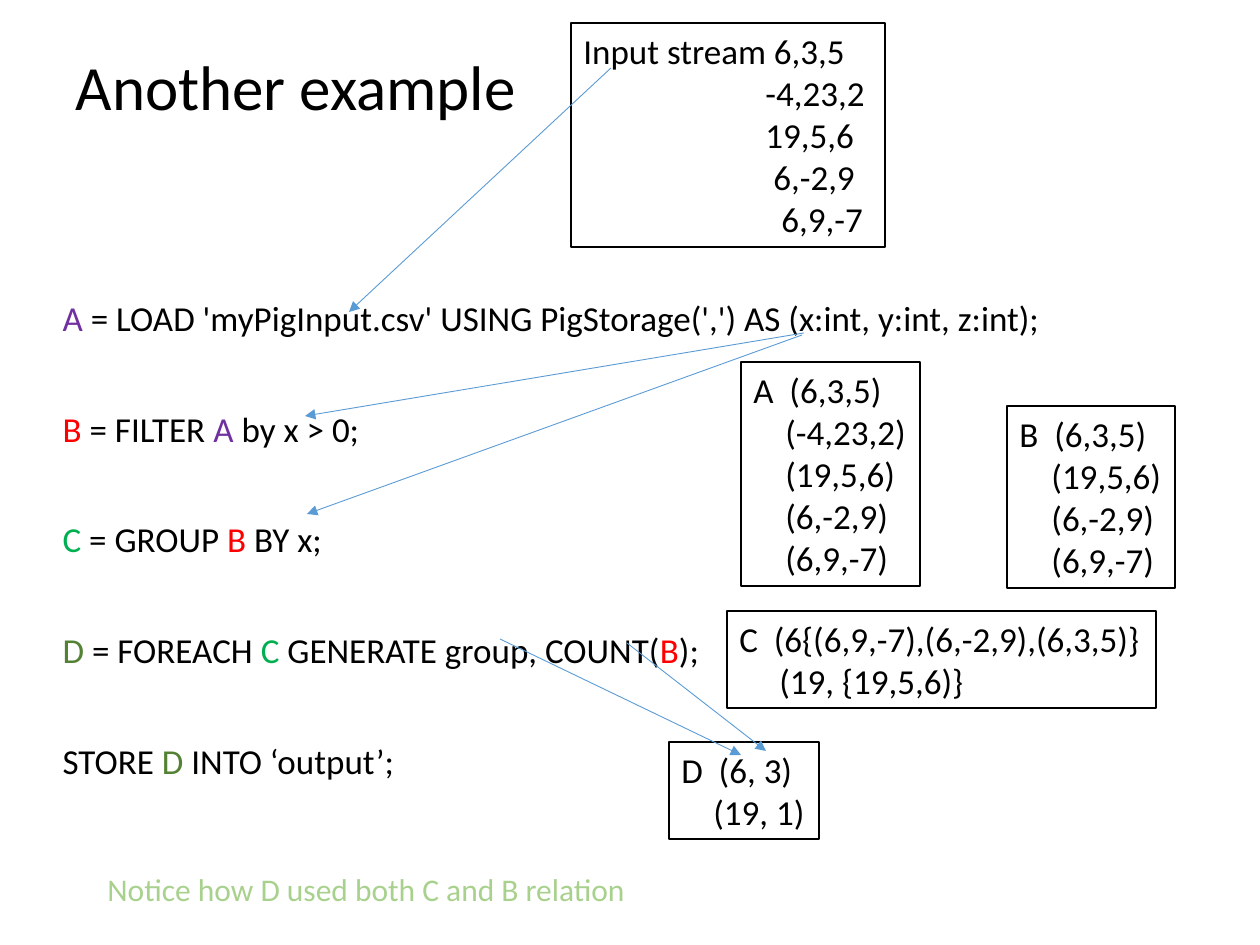
from dataclasses import dataclass, field

from lxml.etree import SubElement
from pptx import Presentation
from pptx.dml.color import RGBColor as Color
from pptx.enum.shapes import MSO_CONNECTOR as Connector
from pptx.enum.text import MSO_ANCHOR as Anchor, MSO_AUTO_SIZE as AutoSize, PP_ALIGN as Align
from pptx.oxml.ns import qn
from pptx.util import Emu, Pt

PIXEL = 914400 / 126


@dataclass
class Theme:
    """Font, colours and type sizes of the slide."""
    font: str = "Calibri"
    ink: str = "000000"
    arrow: str = "5B9BD5"
    note: str = "A9D18E"
    title_size: int = 36
    text_size: int = 20
    note_size: int = 18
    box_line: float = 0.75
    arrow_line: float = 0.5
    relations: dict = field(default_factory=lambda: {
        "A": "7030A0", "B": "FF0000", "C": "00B050", "D": "548235"})


def px(value):
    """Turn pixels into EMU."""
    return Emu(round(value * PIXEL))


def assign(target, **values):
    """Set several attributes of one object."""
    for name, value in values.items():
        setattr(target, name, value)


def place(shape, bounds):
    """Move and size a shape by left, top, width and height in pixels."""
    assign(shape, **dict(zip(("left", "top", "width", "height"), map(px, bounds))))


class Page:
    """Draws elements on one slide in one theme."""

    def __init__(self, deck, theme):
        """Add a title and content slide to the deck."""
        self.theme = theme
        self.slide = deck.slides.add_slide(deck.slide_layouts[1])
        self.shapes = self.slide.shapes

    def span(self, para, text, size, color=None):
        """Append a formatted run to a paragraph."""
        run = para.add_run()
        run.text = text
        assign(run.font, name=self.theme.font, size=Pt(size))
        run.font.color.rgb = Color.from_string(color or self.theme.ink)

    def title(self, text, bounds):
        """Fill the title placeholder."""
        box = self.shapes.title
        place(box, bounds)
        assign(box.text_frame, vertical_anchor=Anchor.MIDDLE, auto_size=AutoSize.NONE)
        para = box.text_frame.paragraphs[0]
        assign(para, alignment=Align.LEFT, line_spacing=0.9)
        self.span(para, text, self.theme.title_size)

    def code(self, statements, bounds, gap):
        """Fill the body with statements; bars part the coloured relation names."""
        box = self.slide.placeholders[1]
        place(box, bounds)
        frame = box.text_frame
        frame.auto_size = AutoSize.NONE
        for index, statement in enumerate(statements):
            para = frame.add_paragraph() if index else frame.paragraphs[0]
            assign(para, line_spacing=0.9, space_before=Pt(gap if index else 10))
            props = para._p.get_or_add_pPr()
            props.set("marL", "0")
            props.set("indent", "0")
            SubElement(props, qn("a:buNone"))
            for part in statement.split("|"):
                self.span(para, part, self.theme.text_size, self.theme.relations.get(part))

    def text(self, lines, bounds, size, color=None):
        """Add a text box from pairs of left indent in pixels and text."""
        box = self.shapes.add_textbox(*map(px, bounds))
        frame = box.text_frame
        assign(frame, word_wrap=True, auto_size=AutoSize.NONE, margin_right=0)
        for index, (indent, line) in enumerate(lines):
            para = frame.add_paragraph() if index else frame.paragraphs[0]
            para._p.get_or_add_pPr().set("marL", str(px(indent)))
            self.span(para, line, size, color)
        return box

    def data_box(self, first, rows, bounds):
        """Add an outlined box with a first line and indented rows."""
        box = self.text([(0, first), *rows], bounds, self.theme.text_size)
        box.line.color.rgb = Color.from_string(self.theme.ink)
        box.line.width = Pt(self.theme.box_line)

    def arrow(self, start, end):
        """Add a straight arrow between two points."""
        line = self.shapes.add_connector(Connector.STRAIGHT, *map(px, (*start, *end)))
        line.line.color.rgb = Color.from_string(self.theme.arrow)
        line.line.width = Pt(self.theme.arrow_line)
        SubElement(line.line._get_or_add_ln(), qn("a:tailEnd"), type="triangle")
        SubElement(line._element.spPr, qn("a:effectLst"))


STATEMENTS = [
    "A| = LOAD 'myPigInput.csv' USING PigStorage(',') AS (x:int, y:int, z:int);",
    "B| = FILTER |A| by x > 0;",
    "C| = GROUP |B| BY x;",
    "D| = FOREACH |C| GENERATE group, COUNT(|B|);",
    "STORE |D| INTO ‘output’;",
]
KEPT = [(32, row) for row in ("(19,5,6)", "(6,-2,9)", "(6,9,-7)")]
DATA_BOXES = [
    ("Input stream 6,3,5",
     [(182, "-4,23,2"), (182, "19,5,6"), (190, "6,-2,9"), (198, "6,9,-7")],
     (571, 23, 314, 224)),
    ("A  (6,3,5)", [(32, "(-4,23,2)"), *KEPT], (741, 362, 179, 224)),
    ("B  (6,3,5)", KEPT, (1007, 406, 168, 182)),
    ("C  (6{(6,9,-7),(6,-2,9),(6,3,5)}", [(40, "(19, {19,5,6)}")], (727, 611, 429, 97)),
    ("D  (6, 3)", [(32, "(19, 1)")], (669, 742, 150, 97)),
]
ARROWS = [
    ((611, 68), (349, 312)),
    ((804, 333), (305, 416)),
    ((802, 335), (307, 514)),
    ((500, 639), (741, 755)),
    ((627, 643), (766, 751)),
]


def main():
    """Build and save the deck."""
    deck = Presentation()
    assign(deck, slide_width=px(1260), slide_height=px(945))
    theme = Theme()
    page = Page(deck, theme)
    page.title("Another example", (63, 38, 499, 105))
    page.code(STATEMENTS, (50, 295, 1134, 624), gap=41.6)
    for first, rows, bounds in DATA_BOXES:
        page.data_box(first, rows, bounds)
    for start, end in ARROWS:
        page.arrow(start, end)
    page.text([(0, "Notice how D used both C and B relation")],
              (95, 864, 551, 50), theme.note_size, theme.note)
    deck.save("out.pptx")


main()
